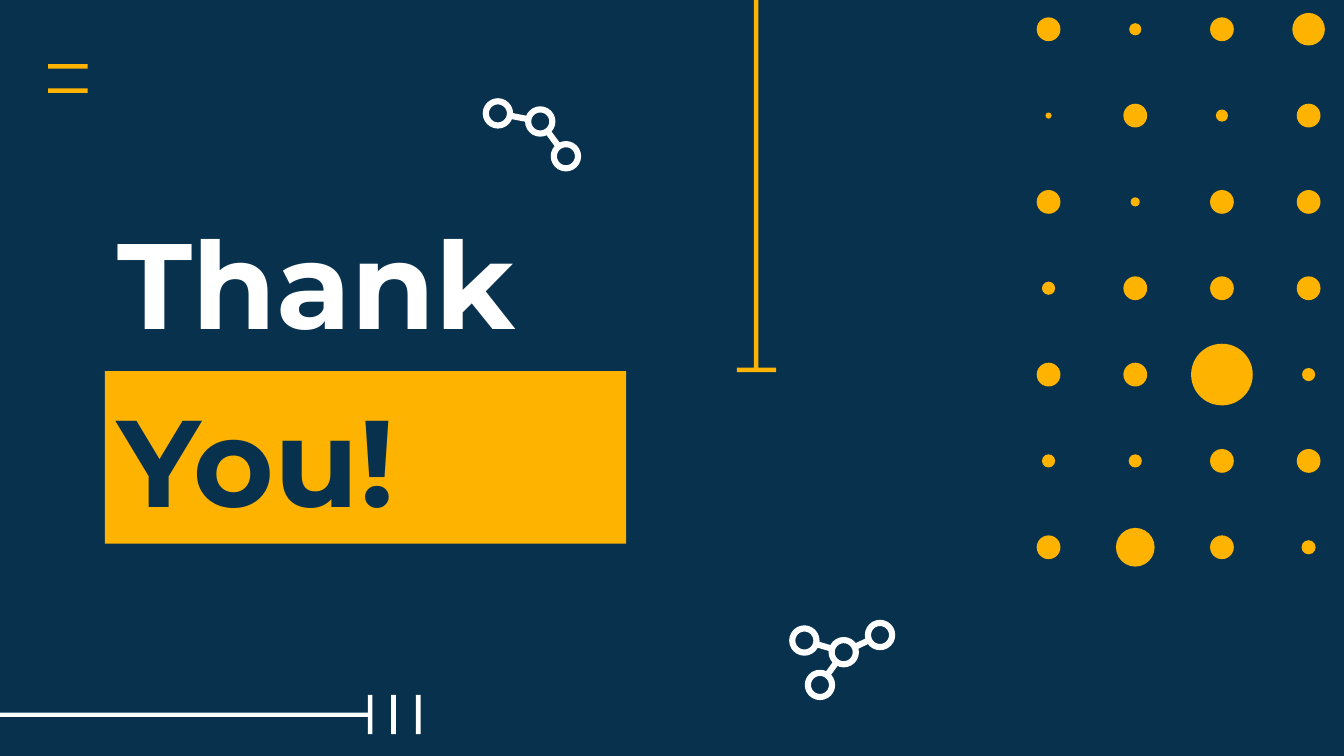
from dataclasses import dataclass

from lxml import etree
from pptx import Presentation
from pptx.dml.color import RGBColor
from pptx.enum.shapes import MSO_CONNECTOR, MSO_SHAPE
from pptx.enum.text import MSO_ANCHOR, PP_ALIGN
from pptx.oxml.ns import qn
from pptx.util import Emu, Inches, Pt

RECTANGLE, OVAL = MSO_SHAPE.RECTANGLE, MSO_SHAPE.OVAL
STRAIGHT = MSO_CONNECTOR.STRAIGHT
TOP, MIDDLE = MSO_ANCHOR.TOP, MSO_ANCHOR.MIDDLE
LEFT = PP_ALIGN.LEFT

SLIDE_WIDTH, SLIDE_HEIGHT = Inches(13.333), Inches(7.5)
NAVY, AMBER, WHITE = "08314E", "FEB300", "FFFFFF"
FONT = "Montserrat"
STROKE = Pt(4.4)
ATOM_SIZE = 1.8
TEXT_INSET = Inches(0.13)

DOT_LEFT, DOT_TOP = 78.02, 3.87
DOT_COLUMN, DOT_ROW = 6.45, 11.42
DOT_SIZES = (
    (1.77, 0.9, 1.77, 2.42),
    (0.45, 1.77, 0.9, 1.77),
    (1.77, 0.68, 1.77, 1.77),
    (0.98, 1.77, 1.77, 1.77),
    (1.77, 1.77, 4.59, 0.98),
    (0.98, 0.98, 1.77, 1.77),
    (1.77, 2.88, 1.77, 1.05),
)


@dataclass(frozen=True)
class Box:
    """A rectangle in percent of the slide's width and height."""
    left: float
    top: float
    width: float
    height: float


@dataclass(frozen=True)
class Bar:
    """A plain coloured bar."""
    box: Box
    color: str


@dataclass(frozen=True)
class Tee:
    """A line ending in a crossbar, as an outline in percent."""
    points: tuple[tuple[float, float], ...]
    color: str


@dataclass(frozen=True)
class Molecule:
    """Ring centres in percent, and the index pairs that are linked."""
    atoms: tuple[tuple[float, float], ...]
    links: tuple[tuple[int, int], ...]


BAND = Box(7.8, 49.1, 38.78, 22.8)
TITLE = Box(7.8, 28.67, 38.33, 16.93)

BARS = (
    Bar(Box(29.1, 91.9, 0.35, 5.2), WHITE),
    Bar(Box(30.95, 91.9, 0.35, 5.2), WHITE),
    Bar(Box(3.58, 8.48, 2.95, 0.62), AMBER),
    Bar(Box(3.58, 11.68, 2.95, 0.62), AMBER),
)
TEES = (
    Tee(((27.38, 91.9), (27.38, 94.25), (0, 94.25), (0, 94.83),
         (27.38, 94.83), (27.38, 97.1), (27.7, 97.1), (27.7, 91.9)), WHITE),
    Tee(((57.75, 48.65), (56.42, 48.65), (56.42, 0), (56.1, 0),
         (56.1, 48.65), (54.83, 48.65), (54.83, 49.22), (57.75, 49.22)), AMBER),
)
MOLECULES = (
    Molecule(((37.05, 15.0), (40.2, 16.07), (42.11, 20.67)), ((0, 1), (1, 2))),
    Molecule(((59.85, 84.73), (62.78, 86.27), (61.01, 90.6), (65.48, 84.0)),
             ((0, 1), (1, 2), (1, 3))),
)


def rgb(color: str) -> RGBColor:
    """Turn a hex string into a colour."""
    return RGBColor.from_string(color)


def across(percent: float) -> Emu:
    """Return a share of the slide's width."""
    return Emu(round(SLIDE_WIDTH * percent / 100))


def down(percent: float) -> Emu:
    """Return a share of the slide's height."""
    return Emu(round(SLIDE_HEIGHT * percent / 100))


def place(box: Box) -> tuple[Emu, Emu, Emu, Emu]:
    """Turn a box into left, top, width and height."""
    return across(box.left), down(box.top), across(box.width), down(box.height)


def paint(shape, color: str, line: str | None = None) -> None:
    """Fill a shape, with an outline only when one is asked for."""
    shape.shadow.inherit = False
    shape.fill.solid()
    shape.fill.fore_color.rgb = rgb(color)
    if line:
        shape.line.color.rgb = rgb(line)
        shape.line.width = STROKE
    else:
        shape.line.fill.background()


def write(shape, text: str, *, size: float, color: str, anchor=TOP) -> None:
    """Put one bold line of text into a shape."""
    frame = shape.text_frame
    frame.word_wrap = True
    frame.vertical_anchor = anchor
    frame.margin_left = frame.margin_right = TEXT_INSET
    frame.margin_top = frame.margin_bottom = TEXT_INSET
    paragraph = frame.paragraphs[0]
    paragraph.alignment = LEFT
    run = paragraph.add_run()
    run.text = text
    run.font.name = FONT
    run.font.size = Pt(size)
    run.font.bold = True
    run.font.color.rgb = rgb(color)


def add_bar(slide, bar: Bar):
    """Draw a bar and return its shape."""
    shape = slide.shapes.add_shape(RECTANGLE, *place(bar.box))
    paint(shape, bar.color)
    return shape


def add_circle(slide, x: float, y: float, size: float, color: str,
               line: str | None = None) -> None:
    """Draw a circle around a centre, its size a share of the width."""
    diameter = across(size)
    shape = slide.shapes.add_shape(
        OVAL, across(x) - diameter // 2, down(y) - diameter // 2, diameter, diameter)
    paint(shape, color, line)


def add_tee(slide, tee: Tee) -> None:
    """Draw a line with its crossbar as one outline."""
    points = [(across(x), down(y)) for x, y in tee.points]
    builder = slide.shapes.build_freeform(*points[0])
    builder.add_line_segments(points[1:], close=True)
    paint(builder.convert_to_shape(), tee.color)


def add_molecule(slide, molecule: Molecule) -> None:
    """Draw the links of a molecule, then its rings over them."""
    for start, end in molecule.links:
        (x1, y1), (x2, y2) = molecule.atoms[start], molecule.atoms[end]
        link = slide.shapes.add_connector(
            STRAIGHT, across(x1), down(y1), across(x2), down(y2))
        link.line.color.rgb = rgb(WHITE)
        link.line.width = STROKE
        etree.SubElement(link._element.spPr, qn("a:effectLst"))
    for x, y in molecule.atoms:
        add_circle(slide, x, y, ATOM_SIZE, NAVY, WHITE)


def main() -> None:
    """Build the closing slide and save it."""
    presentation = Presentation()
    presentation.slide_width, presentation.slide_height = SLIDE_WIDTH, SLIDE_HEIGHT
    slide = presentation.slides.add_slide(presentation.slide_layouts[6])
    slide.background.fill.solid()
    slide.background.fill.fore_color.rgb = rgb(NAVY)

    for bar in BARS:
        add_bar(slide, bar)
    write(add_bar(slide, Bar(BAND, AMBER)), "You!", size=88, color=NAVY)
    title = slide.shapes.add_textbox(*place(TITLE))
    write(title, "Thank", size=86.7, color=WHITE, anchor=MIDDLE)

    for row, sizes in enumerate(DOT_SIZES):
        for column, size in enumerate(sizes):
            add_circle(slide, DOT_LEFT + column * DOT_COLUMN,
                       DOT_TOP + row * DOT_ROW, size, AMBER)
    for molecule in MOLECULES:
        add_molecule(slide, molecule)
    for tee in TEES:
        add_tee(slide, tee)
    presentation.save("out.pptx")


if __name__ == "__main__":
    main()
